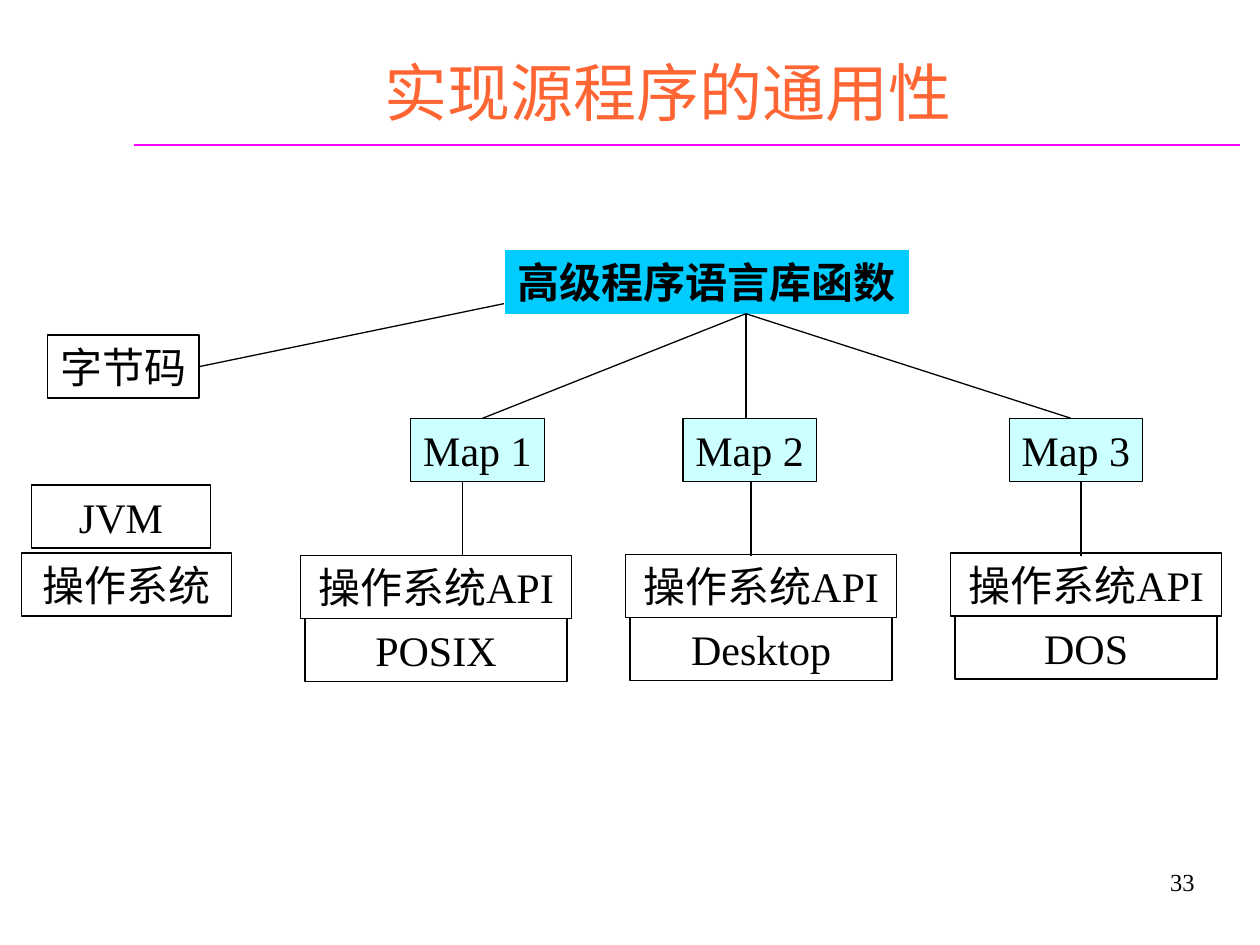
from pptx import Presentation
from pptx.dml.color import RGBColor
from pptx.enum.shapes import MSO_CONNECTOR as CONN, MSO_SHAPE as SHAPE
from pptx.enum.text import MSO_ANCHOR as ANCHOR, PP_ALIGN as ALIGN
from pptx.oxml.ns import qn
from pptx.util import Inches, Pt
from lxml import etree

BLACK = RGBColor(0x00, 0x00, 0x00)
ORANGE = RGBColor(0xFF, 0x66, 0x33)
MAGENTA = RGBColor(0xFF, 0x00, 0xFF)
BLUE = RGBColor(0x00, 0xCC, 0xFF)
PALE = RGBColor(0xCC, 0xFF, 0xFF)
LATIN, CJK = "Times New Roman", "Noto Sans CJK SC"

TITLE = "实现源程序的通用性"
LIBRARY = "高级程序语言库函数"
PAGE = "33"
BYTECODE = ("字节码", 0.38, 2.66, 1.2)
RUNTIME = [("JVM", 0.25, 3.85, 1.42), ("操作系统", 0.17, 4.39, 1.67)]
API = "操作系统API"
PLATFORMS = [
    {"map": "Map 1", "os": "POSIX", "left": 3.26, "top_x": 3.83, "stem_x": 3.67, "api_top": 4.41},
    {"map": "Map 2", "os": "Desktop", "left": 5.42, "top_x": 5.92, "stem_x": 5.96, "api_top": 4.4},
    {"map": "Map 3", "os": "DOS", "left": 8.01, "top_x": 8.5, "stem_x": 8.58, "api_top": 4.39},
]
FIRST_CENTER, PITCH = 3.46, 2.58
BOX_H, MAP_W, API_W, OS_W = 0.5, 1.06, 2.15, 2.08
MAP_TOP, STEM_END = 3.32, 4.41
HUB = (5.92, 2.49)


def write(shape, text, size, color, align=ALIGN.CENTER, font=LATIN, bold=False,
          anchor=ANCHOR.TOP, wrap=True):
    tf = shape.text_frame
    tf.text = text
    tf.word_wrap = wrap
    tf.vertical_anchor = anchor
    p = tf.paragraphs[0]
    p.alignment = align
    r = p.runs[0]
    r.font.size = Pt(size)
    r.font.name = font
    r.font.bold = bold
    r.font.color.rgb = color
    etree.SubElement(r.font._element, qn("a:ea")).set("typeface", CJK)


def add_text(s, text, left, top, width, height, size, color, **style):
    box = s.shapes.add_textbox(Inches(left), Inches(top), Inches(width), Inches(height))
    write(box, text, size, color, **style)


def add_box(s, text, left, top, width, fill=None, line=BLACK, bold=False):
    box = s.shapes.add_shape(SHAPE.RECTANGLE, Inches(left), Inches(top),
                             Inches(width), Inches(BOX_H))
    box.shadow.inherit = False
    if fill is None:
        box.fill.background()
    else:
        box.fill.solid()
        box.fill.fore_color.rgb = fill
    box.line.color.rgb = line
    box.line.width = Pt(0.75)
    write(box, text, 24, BLACK, bold=bold, wrap=False)
    return box


def add_line(s, start, end, color=BLACK, width=0.75):
    line = s.shapes.add_connector(CONN.STRAIGHT, *map(Inches, start + end))
    line.line.color.rgb = color
    line.line.width = Pt(width)
    etree.SubElement(line._element.spPr, qn("a:effectLst"))
    return line


def main():
    prs = Presentation()
    prs.slide_width, prs.slide_height = Inches(10), Inches(7.5)
    s = prs.slides.add_slide(prs.slide_layouts[6])

    add_line(s, (1.06, 1.15), (9.84, 1.15), MAGENTA, 1.5)
    add_text(s, PAGE, 7.5, 6.75, 2.08, 0.5, 14, BLACK, align=ALIGN.RIGHT, anchor=ANCHOR.MIDDLE)
    add_text(s, TITLE, 0.61, 0.25, 9.39, 0.82, 36, ORANGE, font=CJK, anchor=ANCHOR.BOTTOM)

    add_box(s, LIBRARY, 4.01, 1.99, 3.2, BLUE, BLUE, bold=True)
    bytecode = add_box(s, *BYTECODE)
    for layer in RUNTIME:
        add_box(s, *layer)
    add_line(s, (4, 2.41), (1.58, 2.91)).end_connect(bytecode, 3)

    for i, item in enumerate(PLATFORMS):
        center = FIRST_CENTER + i * PITCH
        add_box(s, item["map"], item["left"], MAP_TOP, MAP_W, PALE)
        add_box(s, API, center - API_W / 2, item["api_top"], API_W)
        add_box(s, item["os"], center - OS_W / 2, item["api_top"] + BOX_H, OS_W)
        add_line(s, HUB, (item["top_x"], MAP_TOP))
        add_line(s, (item["stem_x"], MAP_TOP + BOX_H), (item["stem_x"], STEM_END))

    prs.save("out.pptx")


if __name__ == "__main__":
    main()
